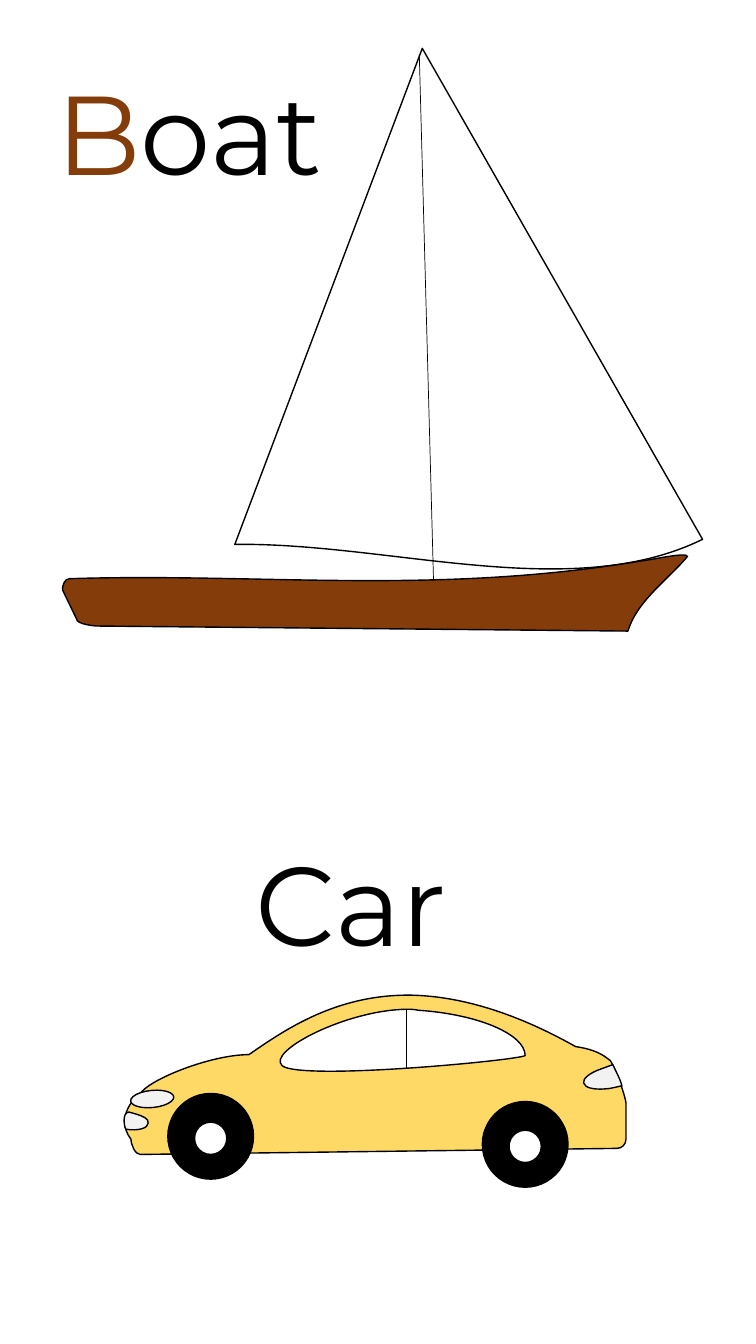
from lxml.etree import SubElement
from pptx import Presentation
from pptx.dml.color import RGBColor
from pptx.enum.shapes import MSO_CONNECTOR, MSO_SHAPE
from pptx.oxml.ns import qn
from pptx.util import Inches, Pt

COLORS = {
    "ink": "000000",
    "white": "FFFFFF",
    "hull": "843C0B",
    "body": "FFD966",
    "lamp": "F2F2F2",
}

SAIL = "M 2.33 5.4 L 4.19 .48 L 6.97 5.35 C 5.66 5.99 3.87 5.38 2.33 5.4 Z"
HULL = (
    "M .62 5.85 C .62 5.81 .64 5.74 .69 5.74 C 2.59 5.68 4.3 5.91 6.39 5.56 "
    "C 6.43 5.56 6.82 5.47 6.82 5.52 C 6.62 5.76 6.32 5.96 6.23 6.26 "
    "L .97 6.21 C .93 6.21 .76 6.19 .76 6.14 Z"
)
CAR_BODY = (
    "M 4.08 9.87 C 4.53 9.88 5.07 10.02 5.71 10.38 "
    "C 5.84 10.4 5.94 10.43 6.03 10.5 C 6.08 10.5 6.21 10.89 6.21 10.94 "
    "L 6.21 11.3 C 6.21 11.35 6.17 11.39 6.12 11.39 L 1.39 11.45 "
    "C 1.34 11.45 1.3 11.35 1.3 11.3 C 1.21 11.18 1.22 11.06 1.3 10.94 "
    "C 1.3 10.89 1.34 10.85 1.39 10.85 C 1.47 10.71 2.09 10.46 2.47 10.46 "
    "C 2.83 10.21 3.34 9.86 4.08 9.87 Z "
    "M 4.03 10.01 C 3.43 10.02 2.64 10.43 2.8 10.57 "
    "C 2.98 10.72 5.11 10.52 5.21 10.47 C 5.21 10.26 4.75 10.06 4.15 10.02 "
    "C 4.11 10.01 4.07 10.01 4.03 10.01 Z"
)
REAR_LAMP = (
    "M 6.08 10.56 C 6.11 10.63 6.15 10.69 6.17 10.77 "
    "C 6.12 10.78 6.05 10.8 6.01 10.8 C 5.89 10.81 5.8 10.79 5.79 10.74 "
    "C 5.78 10.7 5.85 10.64 5.97 10.6 Z"
)
FOG_LAMP = (
    "M 1.35 11.05 C 1.42 11.07 1.48 11.1 1.47 11.14 "
    "C 1.47 11.19 1.37 11.22 1.25 11.2 C 1.23 11.18 1.21 11.03 1.28 11.03 "
    "C 1.31 11.04 1.32 11.04 1.35 11.05 Z"
)
WHEEL_CENTERS = [(2.09, 11.27), (5.21, 11.35)]
CURVE_STEPS = 24


def rgb(color):
    return RGBColor.from_string(COLORS[color])


def paint(shape, fill):
    shape.shadow.inherit = False
    shape.fill.solid()
    shape.fill.fore_color.rgb = rgb(fill)
    shape.line.color.rgb = rgb("ink")
    shape.line.width = Pt(1)


def read_commands(drawing):
    commands = []
    for token in drawing.split():
        if token in "MLCZ":
            commands.append((token, []))
        else:
            commands[-1][1].append(Inches(float(token)))
    return [(kind, list(zip(values[::2], values[1::2]))) for kind, values in commands]


def curve_point(controls, t):
    weights = ((1 - t) ** 3, 3 * t * (1 - t) ** 2, 3 * t * t * (1 - t), t ** 3)
    return tuple(sum(w * c[axis] for w, c in zip(weights, controls)) for axis in (0, 1))


def sample_outline(commands):
    samples = []
    for kind, points in commands:
        if kind == "C":
            controls = [samples[-1], *points]
            samples += [curve_point(controls, step / CURVE_STEPS)
                        for step in range(1, CURVE_STEPS + 1)]
        else:
            samples += points
    return samples


def add_outline(shapes, drawing, fill):
    commands = read_commands(drawing)
    start, *rest = sample_outline(commands)
    builder = shapes.build_freeform(*start)
    builder.add_line_segments(rest)
    outline = builder.convert_to_shape()
    curves = outline._element.spPr.find(".//" + qn("a:path"))
    for segment in list(curves):
        curves.remove(segment)
    tags = {"M": "a:moveTo", "L": "a:lnTo", "C": "a:cubicBezTo", "Z": "a:close"}
    for kind, points in commands:
        segment = SubElement(curves, qn(tags[kind]))
        for x, y in points:
            SubElement(segment, qn("a:pt"), x=str(x - outline.left), y=str(y - outline.top))
    paint(outline, fill)


def add_oval(shapes, center, width, height, fill, rotation=0):
    x, y = center
    oval = shapes.add_shape(MSO_SHAPE.OVAL, Inches(x - width / 2), Inches(y - height / 2),
                            Inches(width), Inches(height))
    oval.rotation = rotation
    paint(oval, fill)


def add_wheel(shapes, center):
    x, y = center
    add_oval(shapes, center, 0.85, 0.85, "ink")
    add_oval(shapes, (x, y + 0.02), 0.32, 0.32, "white")


def add_line(shapes, start, end):
    line = shapes.add_connector(MSO_CONNECTOR.STRAIGHT, *map(Inches, start + end))
    line.line.color.rgb = rgb("ink")
    line.line.width = Pt(0.5)
    SubElement(line._element.spPr, qn("a:effectLst"))


def add_word(shapes, text, left, top, size=80, font="Montserrat", initial="ink"):
    box = shapes.add_textbox(Inches(left), Inches(top), Inches(3.2), Inches(1.45))
    box.text_frame.word_wrap = True
    paragraph = box.text_frame.paragraphs[0]
    parts = [(text, "ink")] if initial == "ink" else [(text[0], initial), (text[1:], "ink")]
    for part, color in parts:
        run = paragraph.add_run()
        run.text = part
        run.font.size = Pt(size)
        run.font.name = font
        run.font.color.rgb = rgb(color)


def draw_boat(shapes):
    add_word(shapes, "Boat", 0.46, 0.58, initial="hull")
    add_outline(shapes, SAIL, "white")
    add_line(shapes, (4.16, 0.55), (4.31, 6.09))
    add_outline(shapes, HULL, "hull")


def draw_car(shapes):
    add_outline(shapes, CAR_BODY, "body")
    for center in WHEEL_CENTERS:
        add_wheel(shapes, center)
    add_outline(shapes, REAR_LAMP, "lamp")
    add_oval(shapes, (1.51, 10.9), 0.43, 0.17, "lamp", rotation=354.4)
    add_outline(shapes, FOG_LAMP, "lamp")
    add_word(shapes, "Car", 2.44, 8.23)


def main():
    deck = Presentation()
    deck.slide_width, deck.slide_height = Inches(7.5), Inches(13.33)
    slide = deck.slides.add_slide(deck.slide_layouts[6])
    add_line(slide.shapes, (4.03, 10.01), (4.03, 10.79))
    draw_boat(slide.shapes.add_group_shape().shapes)
    draw_car(slide.shapes.add_group_shape().shapes)
    deck.save("out.pptx")


if __name__ == "__main__":
    main()
